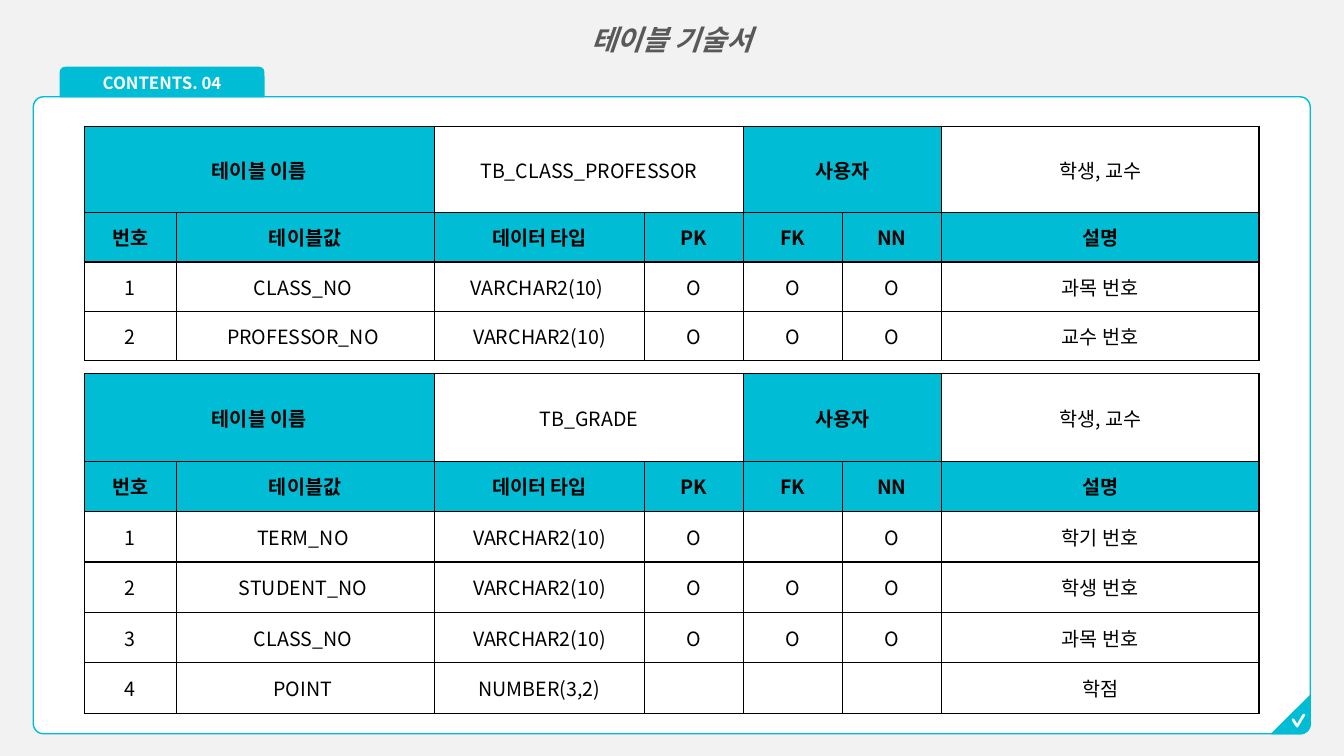
from math import cos, pi, sin

from lxml.etree import SubElement
from pptx import Presentation
from pptx.dml.color import RGBColor
from pptx.enum.shapes import MSO_SHAPE
from pptx.enum.text import MSO_ANCHOR, PP_ALIGN
from pptx.oxml.ns import qn
from pptx.util import Cm, Pt

FONT = "Noto Sans CJK KR"
TEAL, WHITE, BLACK, GRAY, PALE = "00BDD5", "FFFFFF", "000000", "595959", "F2F2F2"
COLUMN_WIDTHS = [2.31, 6.5, 5.31, 2.49, 2.49, 2.49, 8.01]
COLUMN_TITLES = ["번호", "테이블값", "데이터 타입", "PK", "FK", "NN", "설명"]
TABLE_LEFT = 2.13


def rgb(color):
    return RGBColor.from_string(color)


class SpecSlide:
    def __init__(self, slide):
        self.slide = slide
        self.shapes = slide.shapes
        slide.background.fill.solid()
        slide.background.fill.fore_color.rgb = rgb(PALE)

    def label(self, frame, text, size, color, bold=False, italic=False):
        """Put one centred paragraph in a text frame and return it."""
        paragraph = frame.paragraphs[0]
        paragraph.text = text
        paragraph.alignment = PP_ALIGN.CENTER
        font = paragraph.font
        font.size, font.bold, font.italic = Pt(size), bold, italic
        font.color.rgb = rgb(color)
        font.name = FONT
        properties = paragraph._p.pPr.find(qn("a:defRPr"))
        SubElement(properties, qn("a:ea")).set("typeface", FONT)
        return paragraph

    def paint(self, shape, fill, line=None):
        shape.shadow.inherit = False
        shape.fill.solid()
        shape.fill.fore_color.rgb = rgb(fill)
        if line:
            shape.line.color.rgb = rgb(line)
            shape.line.width = Pt(1)
        else:
            shape.line.fill.background()

    def box(self, kind, left, top, width, height, fill, line):
        shape = self.shapes.add_shape(kind, Cm(left), Cm(top), Cm(width), Cm(height))
        self.paint(shape, fill, line)
        return shape

    def outline(self, points, fill, line=None):
        corners = [(Cm(x), Cm(y)) for x, y in points]
        builder = self.shapes.build_freeform(*corners[0])
        builder.add_line_segments(corners[1:])
        self.paint(builder.convert_to_shape(), fill, line)

    def title(self, text, left, top, width, height):
        box = self.shapes.add_textbox(Cm(left), Cm(top), Cm(width), Cm(height))
        box.text_frame.word_wrap = True
        paragraph = self.label(box.text_frame, text, 20, GRAY, True, True)
        paragraph.line_spacing = 1.5

    def cell(self, cell, text, heading):
        cell.fill.solid()
        cell.fill.fore_color.rgb = rgb(TEAL if heading else WHITE)
        cell.vertical_anchor = MSO_ANCHOR.MIDDLE
        self.label(cell.text_frame, text, 14, BLACK, heading)
        properties = cell._tc.get_or_add_tcPr()
        for index, side in enumerate(("lnL", "lnR", "lnT", "lnB")):
            border = properties.makeelement(qn(f"a:{side}"), {"w": str(Pt(1))})
            fill = SubElement(border, qn("a:solidFill"))
            SubElement(fill, qn("a:srgbClr")).set("val", BLACK)
            properties.insert(index, border)

    def spec_table(self, top, table_name, fields, name_height, row_height):
        """Describe a database table: a name row, column titles, then its fields."""
        name_row = ["테이블 이름", "", table_name, "", "사용자", "", "학생, 교수"]
        rows = [name_row, COLUMN_TITLES, *fields]
        heights = [name_height] + [row_height] * (len(rows) - 1)
        table = self.shapes.add_table(
            len(rows), len(COLUMN_WIDTHS), Cm(TABLE_LEFT), Cm(top),
            Cm(sum(COLUMN_WIDTHS)), Cm(sum(heights))).table
        table.first_row = table.horz_banding = False
        for column, width in zip(table.columns, COLUMN_WIDTHS):
            column.width = Cm(width)
        for r, (texts, height) in enumerate(zip(rows, heights)):
            table.rows[r].height = Cm(height)
            for c, text in enumerate(texts):
                heading = r == 1 or (r == 0 and c in (0, 1, 4, 5))
                self.cell(table.cell(r, c), text, heading)
        for c in (0, 2, 4):
            table.cell(0, c).merge(table.cell(0, c + 1))


def main():
    presentation = Presentation()
    presentation.slide_width, presentation.slide_height = Cm(33.87), Cm(19.05)
    page = SpecSlide(presentation.slides.add_slide(presentation.slide_layouts[6]))

    panel = page.box(MSO_SHAPE.ROUNDED_RECTANGLE, 0.84, 2.44, 32.18, 16.05, WHITE, TEAL)
    panel.adjustments[0] = 0.016
    tab = page.box(MSO_SHAPE.ROUND_2_SAME_RECTANGLE, 1.52, 1.7, 5.13, 0.74, TEAL, TEAL)
    tab.text_frame.vertical_anchor = MSO_ANCHOR.MIDDLE
    page.label(tab.text_frame, "CONTENTS. 04", 12, WHITE, True)

    rounded_corner = [(32.77 + 0.25 * cos(step * pi / 16), 18.24 + 0.25 * sin(step * pi / 16))
                      for step in range(9)]
    page.outline([(32.05, 18.49), (33.02, 17.53), *rounded_corner], TEAL, TEAL)
    page.outline([(32.56, 18.11), (32.61, 18.11), (32.69, 18.24), (32.82, 18.01),
                  (32.87, 17.98), (32.89, 18.03), (32.72, 18.31), (32.69, 18.34),
                  (32.66, 18.31), (32.56, 18.16)], WHITE)

    page.title("테이블 기술서", 9.27, 0.03, 15.32, 1.37)
    page.spec_table(3.18, "TB_CLASS_PROFESSOR", [
        ["1", "CLASS_NO ", "VARCHAR2(10) ", "O", "O", "O", "과목 번호"],
        ["2", "PROFESSOR_NO ", "VARCHAR2(10)", "O", "O", "O", "교수 번호"],
    ], 2.18, 1.24)
    page.spec_table(9.42, "TB_GRADE", [
        ["1", "TERM_NO ", "VARCHAR2(10)", "O", "", "O", "학기 번호"],
        ["2", "STUDENT_NO ", "VARCHAR2(10)", "O", "O", "O", "학생 번호"],
        ["3", "CLASS_NO ", "VARCHAR2(10)", "O", "O", "O", "과목 번호"],
        ["4", "POINT ", "NUMBER(3,2)", "", "", "", "학점"],
    ], 2.2, 1.27)
    presentation.save("out.pptx")


if __name__ == "__main__":
    main()
